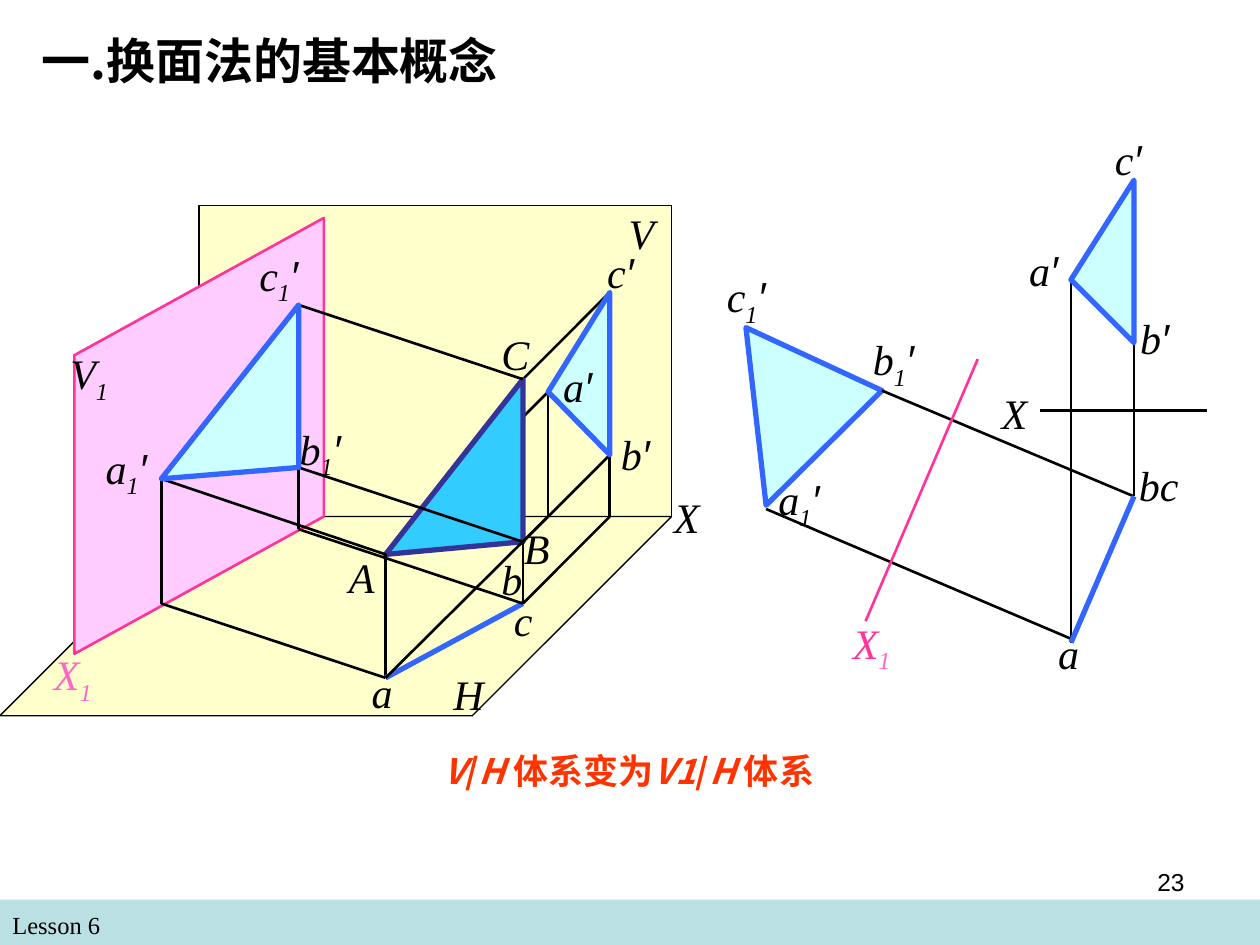
from lxml.etree import SubElement
from pptx import Presentation
from pptx.dml.color import RGBColor
from pptx.enum.shapes import MSO_CONNECTOR, MSO_SHAPE
from pptx.enum.text import MSO_ANCHOR, PP_ALIGN
from pptx.oxml.ns import qn
from pptx.util import Inches, Pt

COLORS = {
    "black": "000000", "plane": "FFFFCC", "new_plane": "FFCCFF", "axis": "FF3399",
    "pink": "FF66CC", "blue": "3366FF", "pale": "CCFFFF", "solid": "33CCFF",
    "navy": "333399", "red": "FF3300", "footer": "BBE0E3",
}
SERIF, SANS, CJK = "Times New Roman", "Arial", "Noto Sans CJK SC"

TITLE = "一.换面法的基本概念"
CAPTION = [("V", True), ("/", False), ("H ", True), ("体系变为", False),
           ("V1", True), ("/", False), ("H ", True), ("体系", False)]

# Pictorial view: A, B, C in space; v = on V, h = on H, n = on V1, x = foot on an axis
SPACE = {
    "A": (3.06, 4.4), "B": (4.15, 4.3), "C": (4.15, 3.01),
    "av": (4.35, 3.11), "bv": (4.84, 3.61), "cv": (4.84, 2.32),
    "ah": (3.06, 5.38), "bh": (4.15, 4.79),
    "an": (1.28, 3.8), "bn": (2.37, 3.71), "cn": (2.37, 2.42),
    "ax": (4.35, 4.1), "bx": (4.84, 4.1), "anx": (1.28, 4.79), "bnx": (2.37, 4.2),
    "V1": (1.58, 1.63), "V2": (5.33, 1.63), "V3": (5.33, 4.1), "V4": (1.58, 4.1),
    "H3": (3.75, 5.68), "H4": (0, 5.68),
    "N1": (0.59, 5.19), "N2": (2.57, 4.1), "N3": (2.57, 1.73), "N4": (0.59, 2.82),
}
# Projection drawing
FLAT = {
    "a1": (6.08, 4.01), "b1": (7, 3.1), "c1": (5.92, 2.6),
    "av": (8.5, 2.22), "bv": (9, 2.72), "cv": (9, 1.43),
    "a": (8.5, 5.1), "bc": (9, 3.94),
    "X": (8.25, 3.26), "X_end": (9.58, 3.26), "X1": (7.76, 2.85), "X1_end": (6.87, 4.93),
    "a1_ray": (6.08, 4.04), "a_ray": (8.5, 5.07),
}

# Back to front: (corners, fill, line, weight); two corners make a line
THIN, THICK = ("black", 1.5), ("blue", 3)
SPACE_PARTS = [
    ("V1 V2 V3 V4", "plane", "black", 0.75),
    ("V4 H4 H3 V3", "plane", "black", 0.75),
    ("cv C", None, *THIN), ("av A", None, *THIN),
    ("C B A", "solid", "navy", 3),
    ("bv bx", None, *THIN), ("av ax", None, *THIN), ("A ah", None, *THIN),
    ("ah bh", None, *THICK),
    ("bx bh", None, *THIN), ("ax ah", None, *THIN),
    ("bv B", None, *THIN), ("B bh", None, *THIN),
    ("cv bv av", "pale", *THICK),
    ("N1 N2 N3 N4", "new_plane", "axis", 1.5),
    ("C cn", None, *THIN), ("B bn", None, *THIN), ("A an", None, *THIN),
    ("ah anx", None, *THIN), ("bh bnx", None, *THIN),
    ("an anx", None, *THIN), ("bn bnx", None, *THIN),
    ("cn bn an", "pale", *THICK),
]
FLAT_PARTS = [
    ("c1 a1 b1", "pale", *THICK),
    ("b1 bc", None, *THIN), ("a1_ray a_ray", None, *THIN),
    ("X1 X1_end", None, "axis", 1.5),
    ("X X_end", None, *THIN), ("bv bc", None, *THIN), ("av a", None, *THIN),
    ("bc a", None, *THICK),
    ("cv bv av", "pale", *THICK),
]

# (text, left, top); a 1 is set as a subscript
LABELS = [
    ("V", 4.89, 1.6), ("A", 2.67, 4.33), ("H", 3.5, 5.26), ("C", 3.88, 2.56),
    ("B", 4.06, 4.1), ("c′", 4.72, 1.91), ("b′", 4.83, 3.35), ("X", 5.25, 3.85),
    ("a′", 4.37, 2.81), ("a", 2.85, 5.24), ("b", 3.88, 4.34), ("c", 3.98, 4.67),
    ("V1", 0.46, 2.71), ("c1′", 1.96, 1.93), ("b1′", 2.28, 3.31), ("a1′", 0.74, 3.46),
    ("a1′", 6.08, 3.71), ("c1′", 5.67, 2.1), ("b1′", 6.83, 2.6),
    ("bc", 8.94, 3.6), ("a", 8.3, 4.93), ("b′", 8.95, 2.43), ("a′", 8.07, 1.89),
    ("c′", 8.75, 1.01), ("X", 7.85, 3.03),
]
PINK_LABELS = [("X1", 6.67, 4.85, "axis"), ("X1", 0.33, 5.1, "pink")]


def rgb(name):
    return RGBColor.from_string(COLORS[name])


def add_run(p, text, size, font, color="black", bold=False, italic=False):
    r = p.add_run()
    r.text = text
    f = r.font
    f.size, f.name, f.bold, f.italic = Pt(size), font, bold, italic
    f.color.rgb = rgb(color)
    for tag in ("a:ea", "a:sym"):
        SubElement(r._r.get_or_add_rPr(), qn(tag)).set("typeface", font)
    return r


def add_text(slide, x, y, w, h):
    tf = slide.shapes.add_textbox(Inches(x), Inches(y), Inches(w), Inches(h)).text_frame
    tf.word_wrap = True
    return tf.paragraphs[0]


def add_label(slide, text, x, y, color="black"):
    p = add_text(slide, x, y, 0.85, 0.56 if "1" in text else 0.5)
    for char in text:
        is_index = char == "1"
        r = add_run(p, char, 24, SANS if char == "′" else SERIF,
                    "pink" if is_index and color == "axis" else color, italic=True)
        if is_index:
            r._r.get_or_add_rPr().set("baseline", "-25000")


def add_part(slide, points, corners, fill, line, weight):
    """Draw a line through two corners or a filled face through more."""
    spots = [tuple(Inches(v) for v in points[name]) for name in corners.split()]
    if len(spots) == 2:
        sp = slide.shapes.add_connector(MSO_CONNECTOR.STRAIGHT, *spots[0], *spots[1])
        SubElement(sp._element.spPr, qn("a:effectLst"))
    else:
        builder = slide.shapes.build_freeform(*spots[0])
        builder.add_line_segments(spots[1:], close=True)
        sp = builder.convert_to_shape()
        sp.shadow.inherit = False
        sp.fill.solid()
        sp.fill.fore_color.rgb = rgb(fill)
    sp.line.color.rgb = rgb(line)
    sp.line.width = Pt(weight)


def main():
    prs = Presentation()
    prs.slide_width, prs.slide_height = Inches(10), Inches(7.5)
    slide = prs.slides.add_slide(prs.slide_layouts[5])

    bar = slide.shapes.add_shape(MSO_SHAPE.RECTANGLE, 0, Inches(7.14), Inches(10), Inches(0.36))
    bar.shadow.inherit = False
    bar.fill.solid()
    bar.fill.fore_color.rgb = rgb("footer")
    bar.line.fill.background()
    add_run(add_text(slide, 0, 7.17, 4.83, 0.34), "Lesson 6", 14, SERIF)

    title = slide.shapes.title
    title.left, title.top, title.width, title.height = map(Inches, (0.23, 0.19, 5.17, 0.57))
    title.text_frame.vertical_anchor = MSO_ANCHOR.TOP
    p = title.text_frame.paragraphs[0]
    p.alignment = PP_ALIGN.LEFT
    add_run(p, TITLE, 28, CJK, bold=True)

    for points, parts in ((SPACE, SPACE_PARTS), (FLAT, FLAT_PARTS)):
        for part in parts:
            add_part(slide, points, *part)
    for label in LABELS + PINK_LABELS:
        add_label(slide, *label)

    p = add_text(slide, 3.42, 5.9, 3.92, 0.44)
    for text, italic in CAPTION:
        add_run(p, text, 20, CJK, "red", bold=True, italic=italic)

    p = add_text(slide, 7.17, 6.83, 2.33, 0.52)
    p.alignment = PP_ALIGN.RIGHT
    add_run(p, "23", 14, SANS)

    prs.save("out.pptx")


if __name__ == "__main__":
    main()
